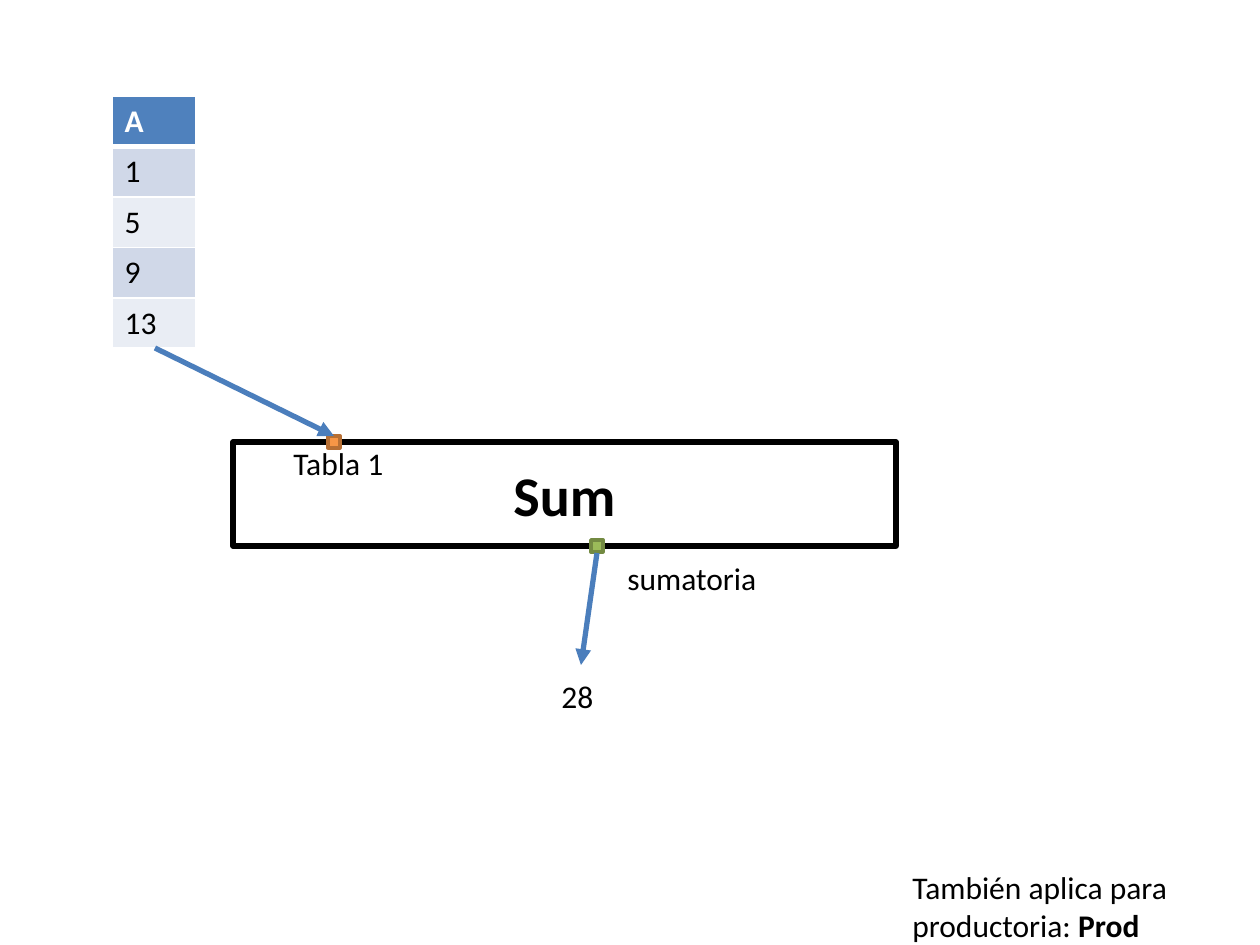
from lxml.etree import SubElement
from pptx import Presentation
from pptx.dml.color import RGBColor
from pptx.enum.shapes import MSO_CONNECTOR, MSO_SHAPE
from pptx.enum.text import MSO_ANCHOR, MSO_AUTO_SIZE, PP_ALIGN
from pptx.oxml.ns import qn
from pptx.util import Pt

SCALE = 914400 / 126
BLACK = RGBColor(0x00, 0x00, 0x00)
WHITE = RGBColor(0xFF, 0xFF, 0xFF)
BLUE = RGBColor(0x4F, 0x81, 0xBD)
ARROW = RGBColor(0x4B, 0x7E, 0xBC)
BANDS = RGBColor(0xE9, 0xED, 0xF4), RGBColor(0xD0, 0xD8, 0xE8)
ORANGE = RGBColor(0xF7, 0x96, 0x46)
DARK_ORANGE = RGBColor(0xB7, 0x6F, 0x34)
GREEN = RGBColor(0x9B, 0xBB, 0x59)
DARK_GREEN = RGBColor(0x73, 0x8A, 0x42)


def px(*lengths):
    """Turn pixel lengths into a list of EMU."""
    return [round(n * SCALE) for n in lengths]


def add_run(p, text, color=BLACK, **formats):
    """Append a formatted run to a paragraph."""
    r = p.add_run()
    r.text = text
    for name, value in {"name": "Calibri", "size": Pt(18), "bold": False, **formats}.items():
        setattr(r.font, name, value)
    r.font.color.rgb = color


def add_label(s, box, *runs, wrap=True):
    """Place a text box holding (text, bold) runs."""
    tf = s.shapes.add_textbox(*px(*box)).text_frame
    tf.word_wrap = wrap
    tf.auto_size = MSO_AUTO_SIZE.SHAPE_TO_FIT_TEXT
    for text, bold in runs:
        add_run(tf.paragraphs[0], text, bold=bold)


def add_rect(s, box, fill, line, width):
    """Place a filled and outlined rectangle."""
    sp = s.shapes.add_shape(MSO_SHAPE.RECTANGLE, *px(*box))
    sp.shadow.inherit = False
    sp.fill.solid()
    sp.fill.fore_color.rgb = fill
    sp.line.color.rgb = line
    sp.line.width = Pt(width)
    return sp


def add_arrow(s, start, end):
    """Draw an arrow from start to end."""
    line = s.shapes.add_connector(MSO_CONNECTOR.STRAIGHT, *px(*start, *end))
    line.line.color.rgb = ARROW
    line.line.width = Pt(3)
    SubElement(line.line._get_or_add_ln(), qn("a:tailEnd"), type="triangle")
    SubElement(line._element.spPr, qn("a:effectLst"))


def set_borders(cell, bottom):
    """Give a cell white borders, with its own bottom width."""
    tcPr = cell._tc.get_or_add_tcPr()
    for i, (side, width) in enumerate({"L": 1, "R": 1, "T": 1, "B": bottom}.items()):
        ln = SubElement(tcPr, qn(f"a:ln{side}"), w=str(Pt(width)))
        SubElement(SubElement(ln, qn("a:solidFill")), qn("a:srgbClr"), val=str(WHITE))
        tcPr.insert(i, ln)


def add_column(s, box, values):
    """Place a one-column table with a header and banded rows."""
    table = s.shapes.add_table(len(values), 1, *px(*box)).table
    for i, value in enumerate(values):
        cell = table.cell(i, 0)
        cell.fill.solid()
        cell.fill.fore_color.rgb = BANDS[i % 2] if i else BLUE
        set_borders(cell, 1 if i else 3)
        add_run(cell.text_frame.paragraphs[0], value, BLACK if i else WHITE, bold=i == 0)


def add_function(s, box, name, source, result):
    """Place the function block with its input and output ports."""
    x, y, w, h = box
    tf = add_rect(s, box, WHITE, BLACK, 3).text_frame
    tf.vertical_anchor = MSO_ANCHOR.MIDDLE
    p = tf.paragraphs[0]
    p.alignment = PP_ALIGN.CENTER
    add_run(p, name, size=Pt(32), bold=True)
    add_label(s, (x + 48, y - 4, 116, 50), (source, False), wrap=False)
    add_rect(s, (x + 95, y - 6, 12, 12), ORANGE, DARK_ORANGE, 2)
    add_rect(s, (x + 358, y + h - 6, 12, 12), GREEN, DARK_GREEN, 2)
    add_label(s, (x + 382, y + h + 7, 645, 50), (result, False))


def build_slide(prs):
    """Build the slide that sums a column."""
    s = prs.slides.add_slide(prs.slide_layouts[6])
    add_function(s, (233, 442, 663, 104), "Sum", "Tabla 1", "sumatoria")
    add_column(s, (112, 96, 84, 252), ["A", "1", "5", "9", "13"])
    add_arrow(s, (155, 348), (334, 436))
    add_arrow(s, (597, 553), (581, 665))
    add_label(s, (549, 671, 79, 50), ("28", False))
    add_label(s, (900, 862, 369, 89), ("También aplica para productoria: ", False), ("Prod", True))


prs = Presentation()
prs.slide_width, prs.slide_height = px(1260, 945)
build_slide(prs)
prs.save("out.pptx")
